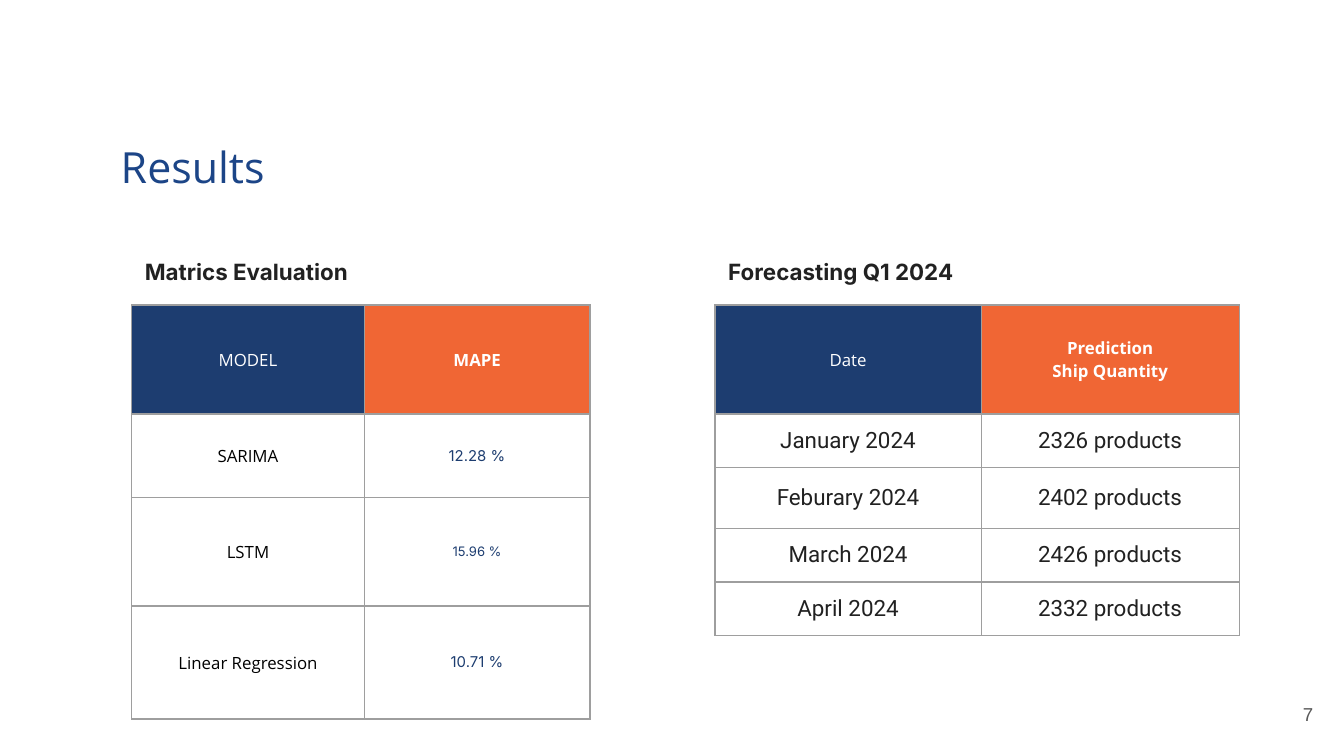
from lxml import etree
from pptx import Presentation
from pptx.dml.color import RGBColor
from pptx.enum import text
from pptx.oxml import ns
from pptx.util import Inches, Pt

COLORS = {
    "title": "1C4587", "navy": "1D3D70", "orange": "F06634", "white": "FFFFFF",
    "black": "000000", "ink": "212121", "border": "9E9E9E", "number": "595959",
}
HEADER = ("Open Sans", 9, "white", False)
HEADER_BOLD = ("Open Sans", 9, "white", True)
MODEL = ("Open Sans", 9, "black", False)
SCORE = ("Inter", 8, "navy", False)
SCORE_SMALL = ("Inter", 7, "navy", False)
FORECAST = ("Roboto", 12, "ink", False)
HEADING = ("Inter", 12, "ink", True)

SECTIONS = [
    {
        "heading": "Matrics Evaluation", "left": 0.98,
        "columns": [1.73, 1.68], "heights": [0.81, 0.62, 0.81, 0.84],
        "rows": [("MODEL", "MAPE"), ("SARIMA", "12.28 %"),
                 ("LSTM", "15.96 %"), ("Linear Regression", "10.71 %")],
        "styles": [(MODEL, SCORE), (MODEL, SCORE_SMALL), (MODEL, SCORE)],
    },
    {
        "heading": "Forecasting Q1 2024", "left": 5.32,
        "columns": [1.98, 1.92], "heights": [0.81, 0.4, 0.45, 0.39, 0.39],
        "rows": [("Date", "Prediction\nShip Quantity"),
                 ("January 2024", "2326 products"),
                 ("Feburary 2024", "2402 products"),
                 ("March 2024", "2426 products"),
                 ("April 2024", "2332 products")],
        "styles": [(FORECAST, FORECAST)] * 4,
    },
]
HEADING_TOP, TABLE_TOP = 1.79, 2.27
MARGIN = Inches(0.1)
SLIDE_WIDTH = Inches(10)


def rgb(name):
    return RGBColor.from_string(COLORS[name])


def write(frame, words, style, align=text.PP_ALIGN.LEFT):
    face, size, color, bold = style
    frame.text = words
    for paragraph in frame.paragraphs:
        paragraph.alignment = align
        font = paragraph.font
        font.name, font.size, font.bold = face, Pt(size), bold
        font.color.rgb = rgb(color)


def add_text(slide, box, words, style, align=text.PP_ALIGN.LEFT):
    frame = slide.shapes.add_textbox(*map(Inches, box)).text_frame
    frame.word_wrap = True
    frame.margin_left = frame.margin_right = MARGIN
    frame.margin_top = frame.margin_bottom = MARGIN
    write(frame, words, style, align)
    return frame


def add_borders(cell):
    properties = cell._tc.get_or_add_tcPr()
    for position, side in enumerate(("lnL", "lnR", "lnT", "lnB")):
        line = etree.Element(ns.qn(f"a:{side}"), w=str(Pt(0.75)))
        fill = etree.SubElement(line, ns.qn("a:solidFill"))
        etree.SubElement(fill, ns.qn("a:srgbClr"), val=COLORS["border"])
        properties.insert(position, line)


def add_table(slide, section):
    rows, columns, heights = section["rows"], section["columns"], section["heights"]
    table = slide.shapes.add_table(
        len(rows), len(columns), Inches(section["left"]), Inches(TABLE_TOP),
        Inches(sum(columns)), Inches(sum(heights))).table
    for column, width in zip(table.columns, columns):
        column.width = Inches(width)
    styles = [(HEADER, HEADER_BOLD)] + section["styles"]
    fills = [("navy", "orange")] + [("white", "white")] * (len(rows) - 1)
    for r, height in enumerate(heights):
        table.rows[r].height = Inches(height)
        for c, words in enumerate(rows[r]):
            cell = table.cell(r, c)
            cell.vertical_anchor = text.MSO_ANCHOR.MIDDLE
            cell.margin_left = cell.margin_right = MARGIN
            cell.margin_top = cell.margin_bottom = MARGIN
            cell.fill.solid()
            cell.fill.fore_color.rgb = rgb(fills[r][c])
            write(cell.text_frame, words, styles[r][c], text.PP_ALIGN.CENTER)
            add_borders(cell)


def main():
    deck = Presentation()
    deck.slide_width, deck.slide_height = SLIDE_WIDTH, SLIDE_WIDTH * 9 // 16
    slide = deck.slides.add_slide(deck.slide_layouts[6])
    add_text(slide, (0.8, 0.95, 1.99, 0.53), "Results",
             ("Open Sans", 23, "title", False))
    for section in SECTIONS:
        heading = add_text(slide, (section["left"], HEADING_TOP, 2.27, 0.4),
                           section["heading"], HEADING)
        heading.paragraphs[0].line_spacing = 1.15
        heading.paragraphs[0].space_after = Pt(5)
        add_table(slide, section)
    number = add_text(slide, (9.27, 5.1, 0.6, 0.43), "7",
                      ("Arial", 10, "number", False), text.PP_ALIGN.RIGHT)
    number.vertical_anchor = text.MSO_ANCHOR.MIDDLE
    deck.save("out.pptx")


if __name__ == "__main__":
    main()
